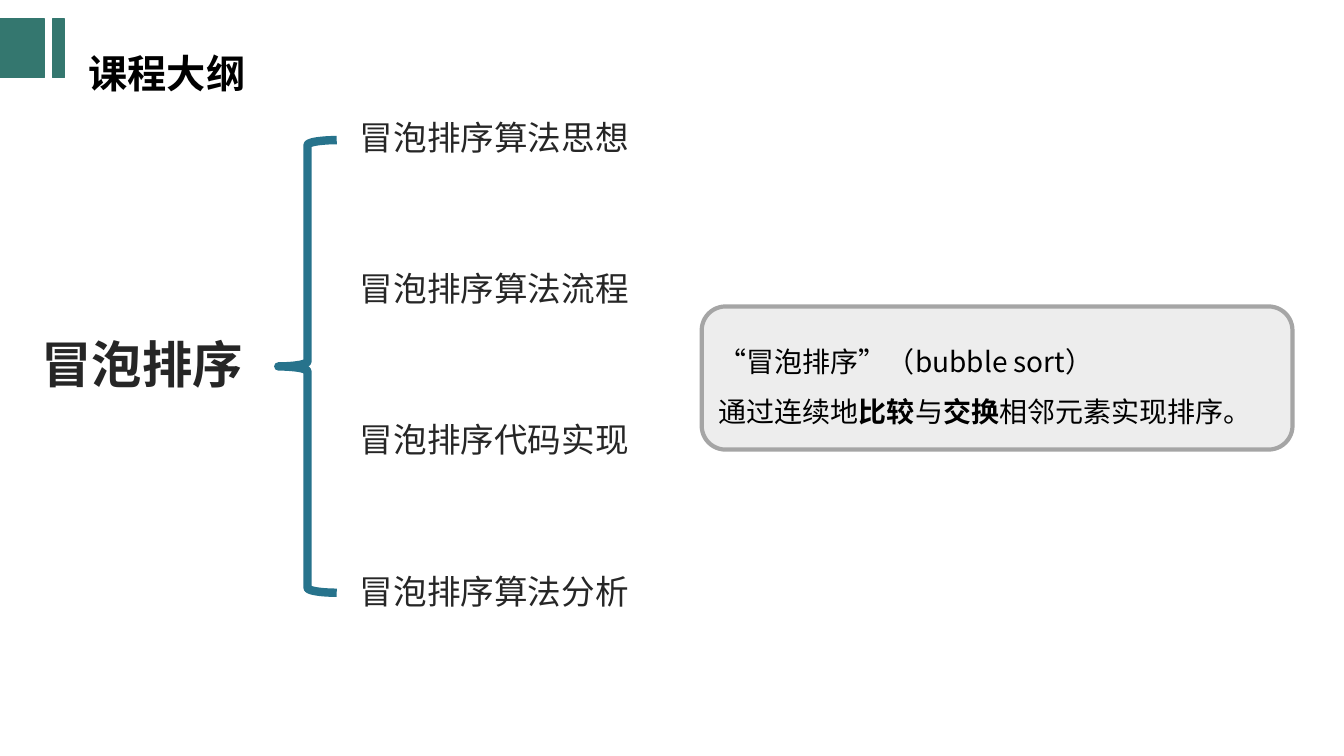
from lxml.etree import SubElement
from pptx import Presentation
from pptx.dml.color import RGBColor
from pptx.enum.lang import MSO_LANGUAGE_ID
from pptx.enum.shapes import MSO_SHAPE
from pptx.enum.text import MSO_ANCHOR, MSO_AUTO_SIZE, PP_ALIGN
from pptx.oxml.ns import qn
from pptx.util import Pt

PX = 9144  # EMU per px, 100 px to the inch

theme = {
    "face": "Noto Sans CJK SC",
    "green": "34776F", "blue": "27738C", "ink": "262626",
    "black": "000000", "pale": "EDEDED", "gray": "A5A5A5",
    "head": 28, "title": 36, "item": 24, "note": 20,
}


def write(shape, lines, size, color, space, **frame):
    """Fill a shape with lines, each a list of (words, bold) pairs."""
    text = shape.text_frame
    frame = {"word_wrap": True, "auto_size": MSO_AUTO_SIZE.NONE,
             "vertical_anchor": MSO_ANCHOR.MIDDLE} | frame
    for key, value in frame.items():
        setattr(text, key, value)
    for i, line in enumerate(lines):
        para = text.add_paragraph() if i else text.paragraphs[0]
        para.alignment, para.line_spacing = PP_ALIGN.LEFT, space
        for words, bold in line:
            run = para.add_run()
            run.text = words
            look = {"size": Pt(theme[size]), "bold": bold, "name": theme["face"],
                    "language_id": MSO_LANGUAGE_ID.SIMPLIFIED_CHINESE}
            for key, value in look.items():
                setattr(run.font, key, value)
            run.font.color.rgb = RGBColor.from_string(theme[color])
            SubElement(run.font._element, qn("a:ea"), typeface=theme["face"])


def draw(home, kind, box, fill, line, width):
    """Add a preset shape with a flat fill and outline."""
    shape = home.add_shape(kind, *(n * PX for n in box))
    shape.shadow.inherit = False
    if fill:
        shape.fill.solid()
        shape.fill.fore_color.rgb = RGBColor.from_string(theme[fill])
    else:
        shape.fill.background()
    shape.line.color.rgb = RGBColor.from_string(theme[line])
    shape.line.width = Pt(width)
    return shape


deck = Presentation()
deck.slide_width, deck.slide_height = 1333 * PX, 750 * PX
slide = deck.slides.add_slide(deck.slide_layouts[5])
shapes = slide.shapes

# Corner bars
bars = shapes.add_group_shape().shapes
for left, width in ((0, 44), (52, 12)):
    draw(bars, MSO_SHAPE.RECTANGLE, (left, 19, width, 58), "green", "green", 1)

# Section heading
head = shapes.add_textbox(78 * PX, -26 * PX, 558 * PX, 108 * PX)
write(head, [[("课程大纲", True)]], "head", "black", 2.5,
      vertical_anchor=MSO_ANCHOR.TOP, auto_size=MSO_AUTO_SIZE.SHAPE_TO_FIT_TEXT)

# Topic and its brace
title = shapes.title
place = {"left": 31, "top": 277, "width": 244, "height": 175}
for key, value in place.items():
    setattr(title, key, value * PX)
write(title, [[("冒泡排序", True)]], "title", "ink", 0.9)
draw(shapes, MSO_SHAPE.LEFT_BRACE, (276, 139, 58, 449), None, "blue", 6)

# Outline items, evenly spaced
items = ("冒泡排序算法思想", "冒泡排序算法流程", "冒泡排序代码实现", "冒泡排序算法分析")
for i, item in enumerate(items):
    label = shapes.add_textbox(347 * PX, (96 + 150 * i) * PX, 318 * PX, 85 * PX)
    write(label, [[(item, False)]], "item", "ink", 0.9)

# Definition card
card = draw(shapes, MSO_SHAPE.ROUNDED_RECTANGLE, (696, 304, 586, 142), "pale", "gray", 3)
write(card, [
    [("“冒泡排序”（bubble sort）", False)],
    [("通过连续地", False), ("比较", True), ("与", False), ("交换", True),
     ("相邻元素实现排序。", False)],
], "note", "black", 1.5)

deck.save("out.pptx")
